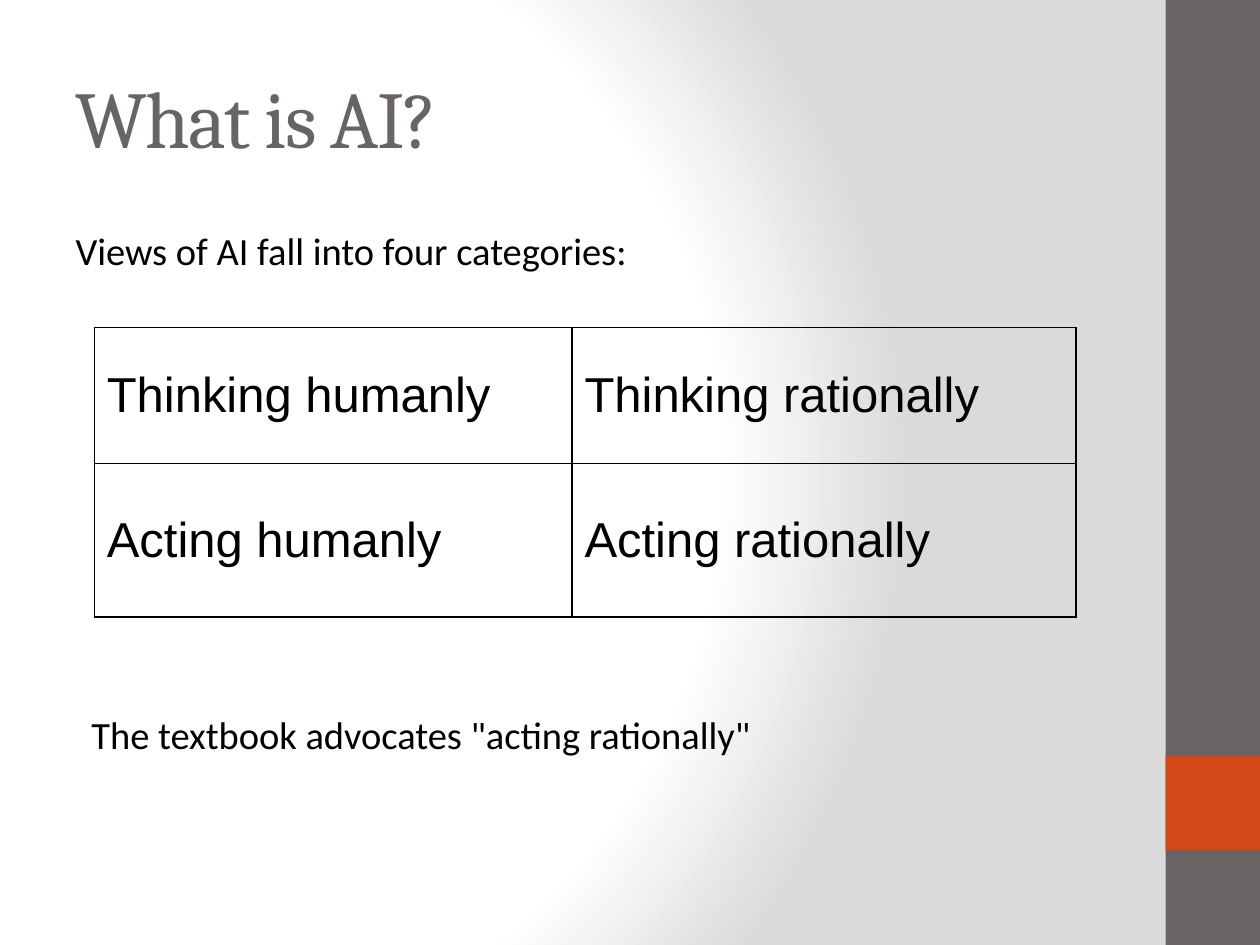
import pptx
import pptx.dml.color
import pptx.enum.shapes
import pptx.enum.text
import pptx.oxml
import pptx.oxml.ns
import pptx.util
from pptx.util import Cm, Pt

BLACK, GREY, ORANGE = "000000", "696464", "D34817"
NS = pptx.oxml.ns.nsdecls("a", "p")


def rgb(value):
    return pptx.dml.color.RGBColor.from_string(value)


def place(sp, left, top, width, height):
    sp.left, sp.top, sp.width, sp.height = Cm(left), Cm(top), Cm(width), Cm(height)


def set_font(p, name, size, color):
    p.font.name = name
    p.font.size = Pt(size)
    p.font.color.rgb = rgb(color)


def set_background(s):
    """Circular gradient, white in the middle and grey to the right."""
    stops = "".join(
        f'<a:gs pos="{pos * 1000}"><a:srgbClr val="{color}"/></a:gs>'
        for pos, color in [(0, "FFFFFF"), (75, "FFFFFF"), (100, "DADADA")])
    bg = pptx.oxml.parse_xml(
        f'<p:bg {NS}><p:bgPr><a:gradFill rotWithShape="1"><a:gsLst>{stops}</a:gsLst>'
        '<a:path path="circle"><a:fillToRect l="20000" t="50000" r="100000" b="50000"/>'
        '</a:path></a:gradFill><a:effectLst/></p:bgPr></p:bg>')
    s.element.cSld.insert(0, bg)


def add_bar(s, top, height, color):
    sp = s.shapes.add_shape(pptx.enum.shapes.MSO_SHAPE.RECTANGLE,
                            Cm(23.5), Cm(top), Cm(1.9), Cm(height))
    sp.shadow.inherit = False
    sp.fill.solid()
    sp.fill.fore_color.rgb = rgb(color)
    sp.line.fill.background()


def fill_title(sp, text):
    place(sp, 1.27, 0.76, 21.16, 3.18)
    tf = sp.text_frame
    tf.text = text
    tf.auto_size = pptx.enum.text.MSO_AUTO_SIZE.NONE
    tf.vertical_anchor = pptx.enum.text.MSO_ANCHOR.MIDDLE
    p = tf.paragraphs[0]
    p.alignment = pptx.enum.text.PP_ALIGN.LEFT
    set_font(p, "Cambria", 46, GREY)
    p.runs[0].font._element.set("spc", "-100")


def fill_body(sp, lines):
    """Each line is (text, left indent in cm, space before in points)."""
    place(sp, 1.27, 4.45, 21.16, 13.34)
    tf = sp.text_frame
    tf.auto_size = pptx.enum.text.MSO_AUTO_SIZE.NONE
    tf.text = "\n".join(text for text, _, _ in lines)
    for p, (_, indent, before) in zip(tf.paragraphs, lines):
        p.space_before = Pt(before)
        set_font(p, "Calibri", 22, BLACK)
        pPr = p._p.get_or_add_pPr()
        pPr.set("marL", str(Cm(indent)))
        pPr.set("indent", "0")
        pPr.insert_element_before(pptx.oxml.parse_xml(f"<a:buNone {NS}/>"),
                                  "a:tabLst", "a:defRPr", "a:extLst")


def add_borders(cell):
    tcPr = cell._tc.get_or_add_tcPr()
    for i, side in enumerate(("lnL", "lnR", "lnT", "lnB")):
        tcPr.insert(i, pptx.oxml.parse_xml(
            f'<a:{side} {NS} w="12700"><a:solidFill><a:srgbClr val="{BLACK}"/>'
            f'</a:solidFill></a:{side}>'))


def add_grid(s, rows, widths, heights):
    table = s.shapes.add_table(len(rows), len(widths), Cm(1.9), Cm(6.6),
                               Cm(sum(widths)), Cm(sum(heights))).table
    table.first_row = table.horz_banding = False
    for column, width in zip(table.columns, widths):
        column.width = Cm(width)
    for row, height, texts in zip(table.rows, heights, rows):
        row.height = Cm(height)
        for cell, text in zip(row.cells, texts):
            cell.text = text
            cell.vertical_anchor = pptx.enum.text.MSO_ANCHOR.MIDDLE
            cell.fill.background()
            set_font(cell.text_frame.paragraphs[0], "Arial", 28, BLACK)
            add_borders(cell)


def main():
    prs = pptx.Presentation()
    prs.slide_width, prs.slide_height = Cm(25.4), Cm(19.05)
    s = prs.slides.add_slide(prs.slide_layouts[1])

    # Background and side bars
    set_background(s)
    add_bar(s, 0, 19.05, GREY)
    add_bar(s, 15.24, 1.9, ORANGE)

    # Title and text above and below the table
    fill_title(s.shapes.title, "What is AI?")
    fill_body(s.placeholders[1], [
        ("Views of AI fall into four categories:", 0, 0),
        ('The textbook advocates "acting rationally"', 0.32, 250),
    ])

    # Four categories
    add_grid(s, [("Thinking humanly", "Thinking rationally"),
                 ("Acting humanly", "Acting rationally")],
             widths=(9.63, 10.16), heights=(2.74, 3.1))

    prs.save("out.pptx")


if __name__ == "__main__":
    main()
